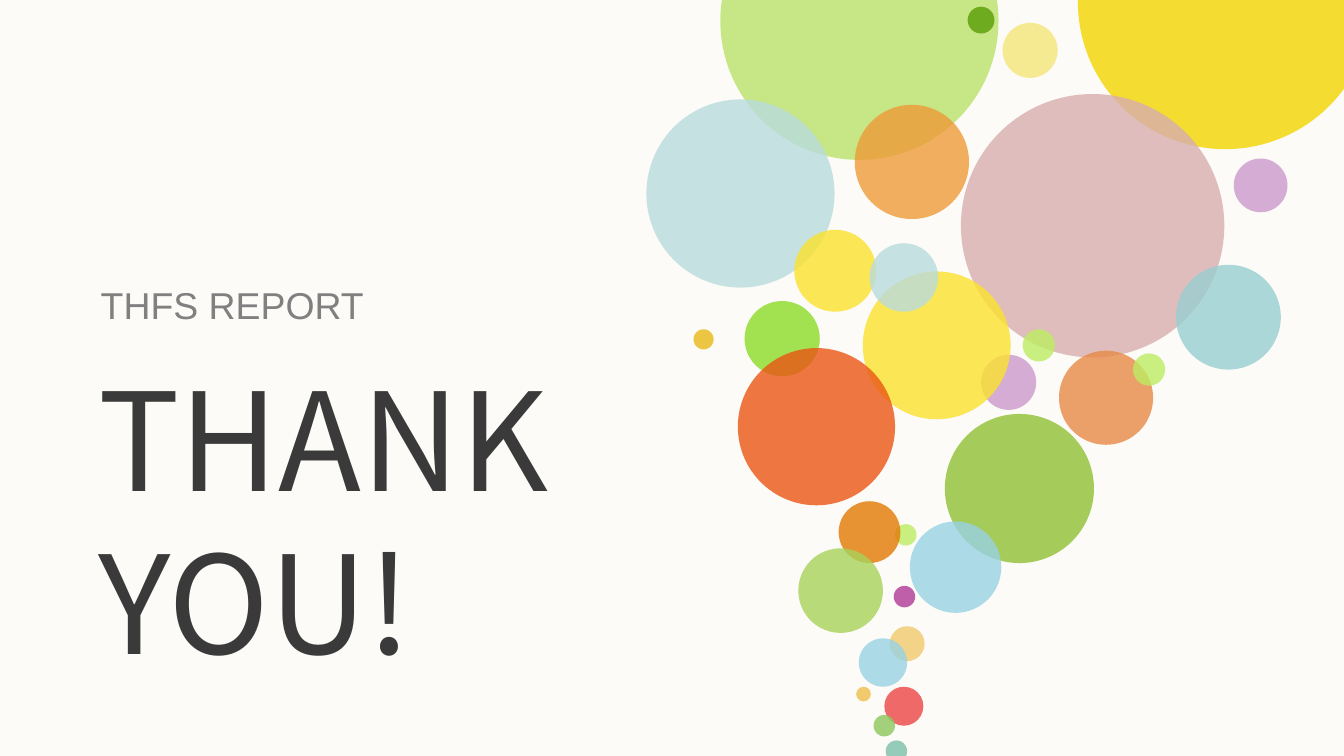
from lxml.etree import SubElement
from pptx import Presentation
from pptx.dml.color import RGBColor
from pptx.enum.shapes import MSO_SHAPE
from pptx.enum.text import MSO_ANCHOR, MSO_AUTO_SIZE, PP_ALIGN
from pptx.oxml.ns import qn
from pptx.util import Inches, Pt

COLORS = {
    "background": "FCFBF7", "title": "3A3A3A", "subtitle": "808080",
    "lime": "BAE36B", "forest": "6EAB1F", "mist": "B9DBDD", "apricot": "ED9B38",
    "cream": "F5EA91", "sun": "F4D500", "rose": "D8AEAF", "aqua": "99CED2",
    "lilac": "CB99CC", "copper": "E78A47", "leaf": "A5CB5A", "mint": "BCED61",
    "lemon": "FBE22D", "green": "8CDB27", "gold": "E9B915", "magenta": "B03896",
    "sand": "F0CA6C", "teal": "7BBFAA", "red": "EB4544", "grass": "8DC65B",
    "sky": "98D2E3", "orange": "E27902", "pear": "A9D25A", "flame": "EA5514",
}

BUBBLES = [
    (5.36, -0.88, 2.07, "lime", 80),
    (7.2, 0.05, 0.2, "forest", 100),
    (4.81, 0.74, 1.4, "mist", 80),
    (6.36, 0.78, 0.85, "apricot", 80),
    (7.46, 0.17, 0.41, "cream", 100),
    (8.02, -1.08, 2.19, "sun", 80),
    (7.15, 0.7, 1.96, "rose", 80),
    (8.75, 1.97, 0.78, "aqua", 80),
    (9.18, 1.18, 0.4, "lilac", 80),
    (7.88, 2.61, 0.7, "copper", 80),
    (7.03, 3.08, 1.11, "leaf", 100),
    (8.43, 2.63, 0.24, "mint", 80),
    (7.61, 2.45, 0.24, "mint", 80),
    (7.3, 2.64, 0.41, "lilac", 80),
    (6.42, 2.02, 1.1, "lemon", 80),
    (5.91, 1.71, 0.61, "lemon", 80),
    (5.54, 2.24, 0.56, "green", 80),
    (5.16, 2.45, 0.15, "gold", 80),
    (6.66, 3.9, 0.16, "mint", 80),
    (6.65, 4.36, 0.16, "magenta", 80),
    (6.62, 4.66, 0.26, "sand", 80),
    (6.37, 5.11, 0.11, "sand", 100),
    (6.59, 5.51, 0.16, "teal", 80),
    (6.58, 5.11, 0.29, "red", 80),
    (6.5, 5.32, 0.16, "grass", 80),
    (6.39, 4.75, 0.36, "sky", 80),
    (6.47, 1.81, 0.51, "mist", 80),
    (6.77, 3.88, 0.68, "sky", 80),
    (6.24, 3.73, 0.46, "orange", 80),
    (5.94, 4.08, 0.63, "pear", 80),
    (5.49, 2.59, 1.17, "flame", 80),
]


def rgb(name):
    return RGBColor.from_string(COLORS[name])


def add_bubble(s, left, top, size, color, opacity):
    sp = s.shapes.add_shape(MSO_SHAPE.OVAL, Inches(left), Inches(top), Inches(size), Inches(size))
    sp.shadow.inherit = False
    sp.line.fill.background()
    sp.fill.solid()
    sp.fill.fore_color.rgb = rgb(color)
    if opacity < 100:
        clr = sp.element.spPr.find(qn("a:solidFill"))[0]
        SubElement(clr, qn("a:alpha"), val=str(opacity * 1000))


def set_text(sp, text, *, box, size, font, color, wrap=True):
    sp.left, sp.top, sp.width, sp.height = map(Inches, box)
    tf = sp.text_frame
    tf.margin_left = tf.margin_top = tf.margin_right = tf.margin_bottom = 0
    tf.vertical_anchor = MSO_ANCHOR.TOP
    tf.auto_size = MSO_AUTO_SIZE.SHAPE_TO_FIT_TEXT
    tf.word_wrap = wrap
    tf.text = text
    for p in tf.paragraphs:
        p.alignment = PP_ALIGN.LEFT
        for r in p.runs:
            r.font.size = Pt(size)
            r.font.name = font
            r.font.color.rgb = rgb(color)


def main():
    prs = Presentation()
    prs.slide_width = Inches(10)
    prs.slide_height = Inches(10 * 9 / 16)
    s = prs.slides.add_slide(prs.slide_layouts[5])
    s.background.fill.solid()
    s.background.fill.fore_color.rgb = rgb("background")
    for bubble in BUBBLES:
        add_bubble(s, *bubble)
    subtitle = s.shapes.add_textbox(0, 0, 0, 0)
    set_text(subtitle, "THFS REPORT", box=(0.75, 2.1, 3.94, 0.34),
             size=20, font="Arial", color="subtitle")
    set_text(s.shapes.title, "THANK\nYOU!", box=(0.73, 2.64, 3.89, 2.46),
             size=73, font="Noto Sans CJK SC", color="title", wrap=False)
    prs.save("out.pptx")


if __name__ == "__main__":
    main()
